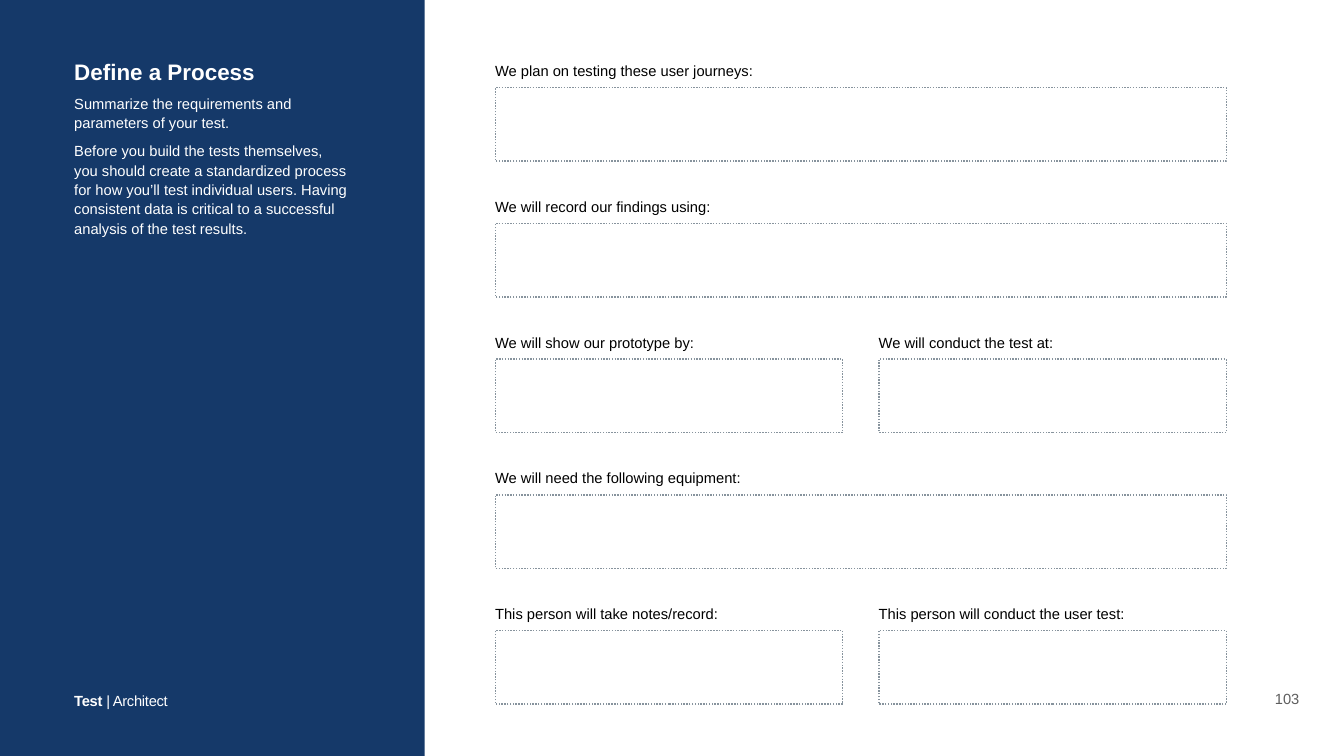
import pptx
import pptx.util
import pptx.dml.color
import pptx.enum.dml
import pptx.enum.shapes
import pptx.enum.text

Pt = pptx.util.Pt
Anchor = pptx.enum.text.MSO_ANCHOR
Rect = pptx.enum.shapes.MSO_SHAPE.RECTANGLE
hues = {"navy": "153969", "white": "FFFFFF", "black": "000000",
        "line": "87939D", "gray": "5E5E5E"}


def paint(part, hue):
    part.rgb = pptx.dml.color.RGBColor.from_string(hues[hue])


def write(left, top, width, height, lines, hue, inset=6, anchor=Anchor.TOP, wrap=True):
    box = slide.shapes.add_textbox(Pt(left), Pt(top), Pt(width), Pt(height))
    frame = box.text_frame
    frame.word_wrap = wrap
    frame.auto_size = pptx.enum.text.MSO_AUTO_SIZE.SHAPE_TO_FIT_TEXT
    frame.vertical_anchor = anchor
    frame.margin_left = frame.margin_right = Pt(inset)
    frame.margin_top = frame.margin_bottom = Pt(inset)
    for i, (text, size, bold, space) in enumerate(lines):
        para = frame.add_paragraph() if i else frame.paragraphs[0]
        para.text = text
        para.line_spacing = space
        if i:
            para.space_before = Pt(12)
        para.font.name = "Arial"
        para.font.size = Pt(size)
        para.font.bold = bold
        paint(para.font.color, hue)
    return frame


deck = pptx.Presentation()
deck.slide_width, deck.slide_height = Pt(1920), Pt(1080)
slide = deck.slides.add_slide(deck.slide_layouts[6])

panel = slide.shapes.add_shape(Rect, Pt(-0.5), Pt(-0.5), Pt(607), Pt(1081))
panel.shadow.inherit = False
panel.fill.solid()
paint(panel.fill.fore_color, "navy")
panel.line.fill.background()

intro = [
    ("Define a Process", 32, True, 1.0),
    ("Summarize the requirements and parameters of your test.", 21, False, 1.1),
    ("Before you build the tests themselves,\nyou should create a standardized "
     "process for how you’ll test individual users. Having consistent data is "
     "critical to a successful analysis of the test results.", 21, False, 1.1),
]
write(100, 76.5, 425, 264, intro, "white")

rows = [
    ["We plan on testing these user journeys:"],
    ["We will record our findings using:"],
    ["We will show our prototype by:", "We will conduct the test at:"],
    ["We will need the following equipment:"],
    ["This person will take notes/record:", "This person will conduct the user test:"],
]
left, top, full, half, pitch = 707.8, 125.2, 1044, 496, 193.9
for r, row in enumerate(rows):
    width = full if len(row) == 1 else half
    y = top + r * pitch
    for c, label in enumerate(row):
        x = left + c * (full - half)
        write(x - 5, y - 41.5, width, 32.4, [(label, 21, False, 1.1)],
              "black", 4.5, Anchor.MIDDLE)
        field = slide.shapes.add_shape(Rect, Pt(x), Pt(y), Pt(width), Pt(105))
        field.shadow.inherit = False
        field.fill.solid()
        paint(field.fill.fore_color, "white")
        paint(field.line.color, "line")
        field.line.width = Pt(2)
        field.line.dash_style = pptx.enum.dml.MSO_LINE.ROUND_DOT

foot = write(100, 977.8, 147, 36.7, [("Test", 21, False, 1.2)], "white", wrap=False)
para = foot.paragraphs[0]
para.runs[0].font.bold = True
para.add_run().text = " | Architect"
for run in para.runs:
    run.font._element.set("spc", "-40")

page = write(1815, 980, 47.5, 36, [("103", 21, False, 1.0)], "gray",
             anchor=Anchor.BOTTOM, wrap=False)
page.paragraphs[0].alignment = pptx.enum.text.PP_ALIGN.CENTER

deck.save("out.pptx")
